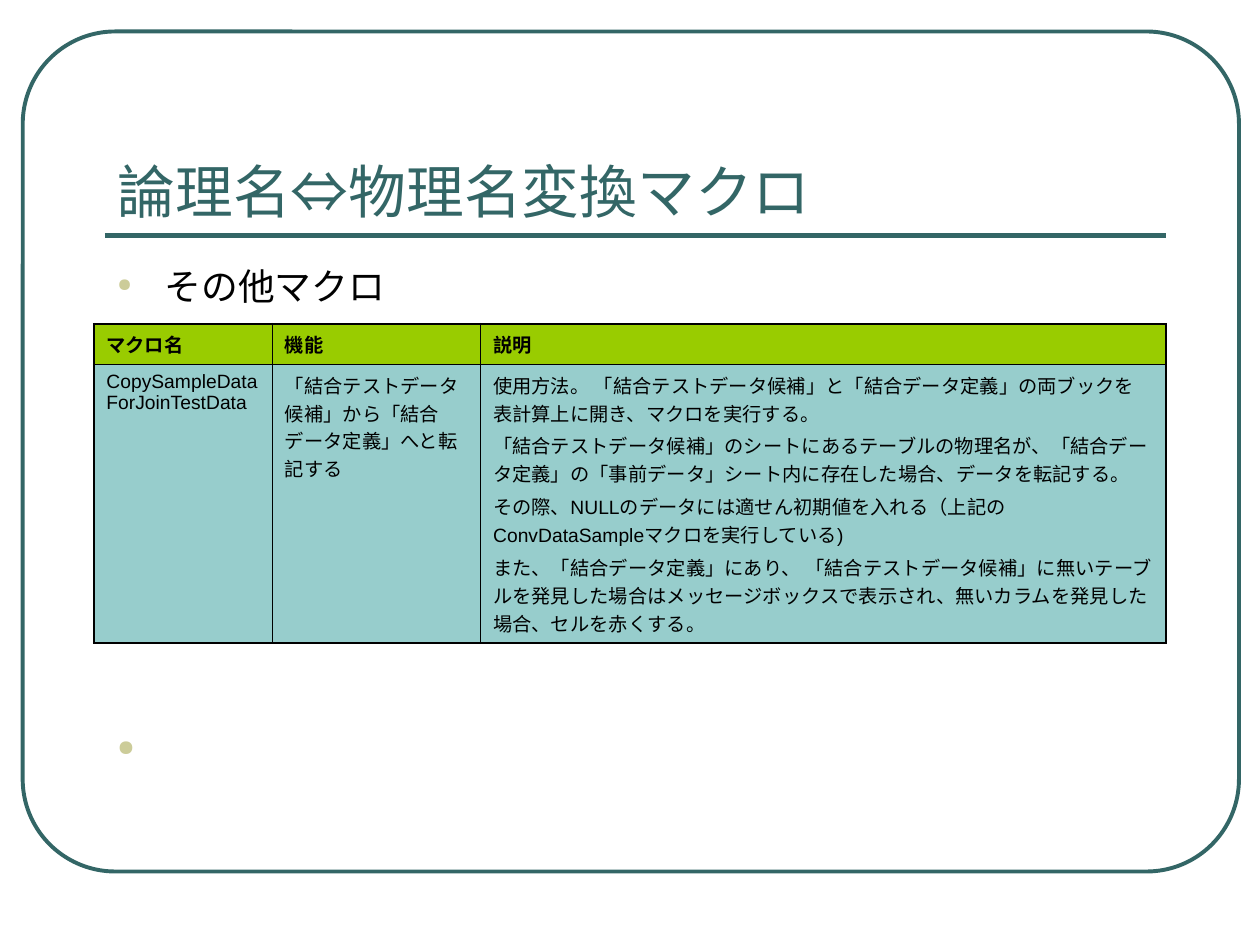
"""Build the slide that describes the remaining conversion macro."""
from dataclasses import dataclass

from lxml.etree import SubElement
from pptx import Presentation
from pptx.dml.color import RGBColor as Color
from pptx.enum.shapes import MSO_CONNECTOR as Connector, MSO_SHAPE as Shape
from pptx.enum.text import MSO_ANCHOR as Anchor, MSO_AUTO_SIZE as AutoSize, PP_ALIGN as Align
from pptx.oxml import parse_xml
from pptx.oxml.ns import nsdecls, qn
from pptx.util import Pt


@dataclass(frozen=True)
class Theme:
    teal: str = "336666"
    black: str = "000000"
    bullet: str = "CCCC99"
    header_fill: str = "99CC00"
    body_fill: str = "97CDCC"
    title_font: str = "Montserrat"
    text_font: str = "Arial"
    title_size: float = 33
    bullet_size: float = 21
    spacer_size: float = 25
    table_size: float = 11
    outer_border: float = 1.08
    inner_border: float = 0.45


theme = Theme()


def format_font(paragraph, name, size, color, bold=False):
    font = paragraph.font
    font.name, font.size, font.bold = name, Pt(size), bold
    font.color.rgb = Color.from_string(color)


def add_border(cell, side, width):
    cell._tc.get_or_add_tcPr().append(parse_xml(
        f'<a:ln{side} {nsdecls("a")} w="{Pt(width)}"><a:solidFill>'
        f'<a:srgbClr val="{theme.black}"/></a:solidFill></a:ln{side}>'))


presentation = Presentation()
presentation.slide_width, presentation.slide_height = Pt(720), Pt(540)
slide = presentation.slides.add_slide(presentation.slide_layouts[5])

frame = slide.shapes.add_shape(Shape.ROUNDED_RECTANGLE, Pt(13), Pt(18), Pt(695), Pt(480))
frame.adjustments[0] = 0.11
frame.shadow.inherit = False
frame.fill.background()
frame.line.color.rgb = Color.from_string(theme.teal)
frame.line.width = Pt(2.25)

title_rule = slide.shapes.add_connector(Connector.STRAIGHT, Pt(60), Pt(134.6), Pt(666), Pt(134.6))
title_rule.line.color.rgb = Color.from_string(theme.teal)
title_rule.line.width = Pt(3)
SubElement(title_rule._element.spPr, qn("a:effectLst"))

title = slide.shapes.title
title.left, title.top, title.width, title.height = Pt(60), Pt(42), Pt(606), Pt(90)
title.text_frame.text = "論理名⇔物理名変換マクロ"
title.text_frame.vertical_anchor = Anchor.BOTTOM
title.text_frame.word_wrap = True
title.text_frame.auto_size = AutoSize.NONE
title_paragraph = title.text_frame.paragraphs[0]
title_paragraph.alignment = Align.LEFT
format_font(title_paragraph, theme.title_font, theme.title_size, theme.teal)

body = slide.shapes.add_textbox(Pt(60), Pt(150), Pt(606), Pt(318))
body.text_frame.word_wrap = True
body.text_frame.text = "その他マクロ\n　"
bullet_styles = [(theme.bullet_size, 5.2), (theme.spacer_size, 240)]
for paragraph, (size, space_before) in zip(body.text_frame.paragraphs, bullet_styles):
    paragraph.line_spacing = 0.9
    paragraph.space_before = Pt(space_before)
    properties = paragraph._p.get_or_add_pPr()
    properties.set("marL", str(Pt(27)))
    properties.set("indent", str(-Pt(27)))
    bullet_color = SubElement(properties, qn("a:buClr"))
    SubElement(bullet_color, qn("a:srgbClr"), val=theme.bullet)
    SubElement(properties, qn("a:buSzPct"), val="50000")
    SubElement(properties, qn("a:buChar"), char="●")
    format_font(paragraph, theme.text_font, size, theme.black)

macro_rows = [
    ["マクロ名", "機能", "説明"],
    [
        "CopySampleDataForJoinTestData",
        "「結合テストデータ候補」から「結合データ定義」へと転記する",
        "使用方法。 「結合テストデータ候補」と「結合データ定義」の両ブックを表計算上に開き、マクロを実行する。\n"
        "「結合テストデータ候補」のシートにあるテーブルの物理名が、「結合データ定義」の「事前データ」シート内に存在した場合、データを転記する。\n"
        "その際、NULLのデータには適せん初期値を入れる（上記のConvDataSampleマクロを実行している)\n"
        "また、「結合データ定義」にあり、 「結合テストデータ候補」に無いテーブルを発見した場合はメッセージボックスで表示され、無いカラムを発見した場合、セルを赤くする。",
    ],
]
column_widths = [102, 119, 391.8]
row_heights = [23.2, 159.4]
table = slide.shapes.add_table(
    len(row_heights), len(column_widths), Pt(53.6), Pt(185),
    Pt(sum(column_widths)), Pt(sum(row_heights))).table
table.horz_banding = False
for column, width in zip(table.columns, column_widths):
    column.width = Pt(width)
for row, height in zip(table.rows, row_heights):
    row.height = Pt(height)

last_row, last_column = len(row_heights) - 1, len(column_widths) - 1
for row_index, texts in enumerate(macro_rows):
    is_header = row_index == 0
    for column_index, text in enumerate(texts):
        cell = table.cell(row_index, column_index)
        cell.text = text
        outer_sides = {
            "L": column_index == 0, "R": column_index == last_column,
            "T": is_header, "B": row_index == last_row,
        }
        for side, is_outer in outer_sides.items():
            add_border(cell, side, theme.outer_border if is_outer else theme.inner_border)
        cell.fill.solid()
        cell.fill.fore_color.rgb = Color.from_string(
            theme.header_fill if is_header else theme.body_fill)
        for paragraph in cell.text_frame.paragraphs:
            paragraph.space_before = Pt(2.8)
            format_font(paragraph, theme.text_font, theme.table_size, theme.black, is_header)

presentation.save("out.pptx")
